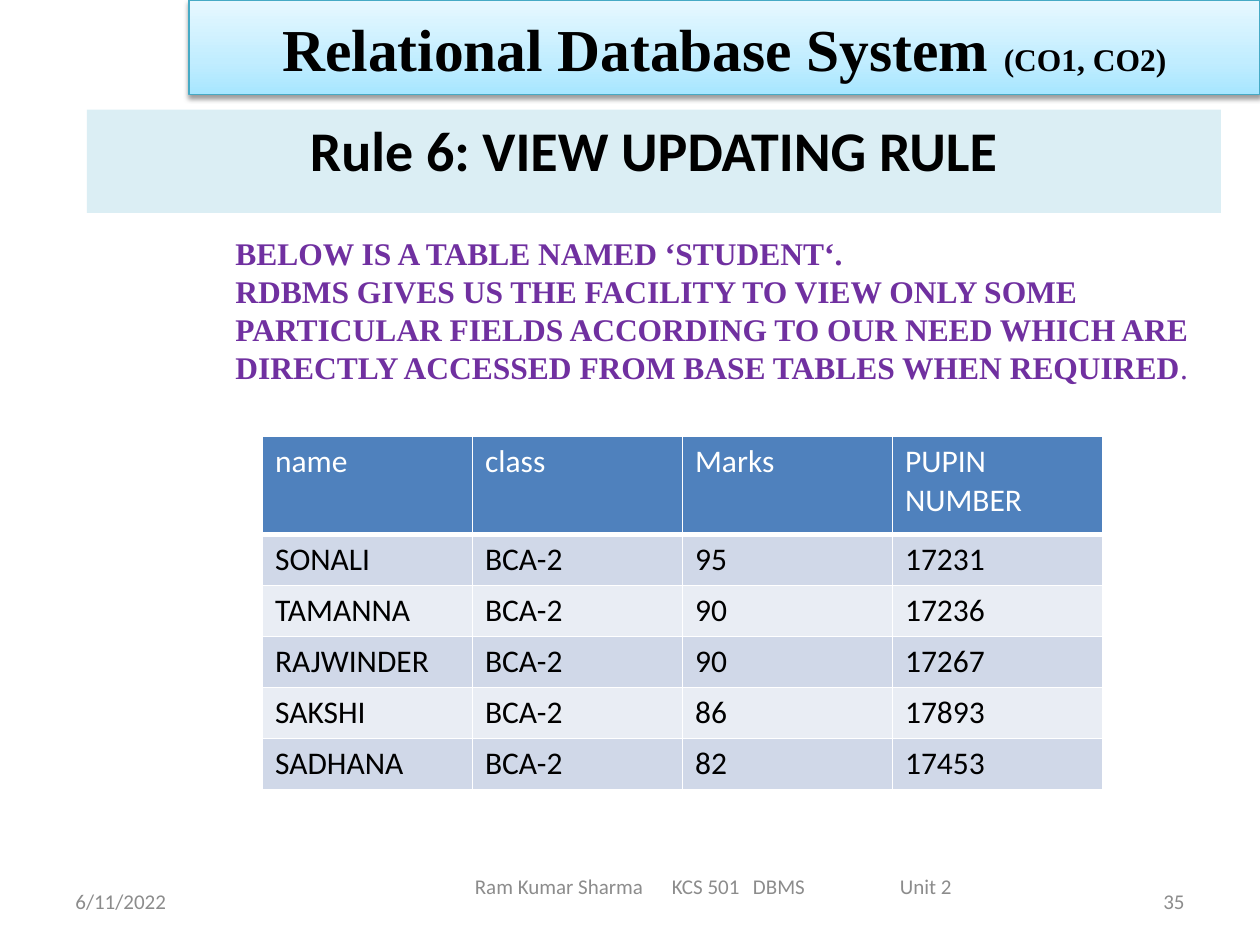
from copy import deepcopy

from lxml.etree import SubElement
from pptx import Presentation
from pptx.dml.color import RGBColor
from pptx.enum.shapes import MSO_SHAPE as Shape
from pptx.enum.text import MSO_ANCHOR as Anchor, PP_ALIGN as Align
from pptx.oxml import parse_xml
from pptx.oxml.ns import nsdecls, qn
from pptx.util import Pt


def color(value):
    return RGBColor.from_string(value)


def write(paragraph, text, face, size, ink, bold=False):
    run = paragraph.add_run()
    run.text = text
    look = {"name": face, "size": Pt(size), "bold": bold}
    for key, value in look.items():
        setattr(run.font, key, value)
    run.font.color.rgb = color(ink)


SERIF, SANS = "Times New Roman", "Calibri"
BLACK, WHITE, GRAY, PURPLE = "000000", "FFFFFF", "8C8C8C", "7030A0"

prs = Presentation()
prs.slide_width, prs.slide_height = Pt(720), Pt(540)
slide = prs.slides.add_slide(prs.slide_layouts[6])
shapes = slide.shapes

# Footer: date, course line, page number
footers = [
    (36, 500.4, 168, Align.LEFT, 7.2, "6/11/2022"),
    (221.76, 491.76, 372, Align.LEFT, 49.6,
     "Ram Kumar Sharma\tKCS 501\tDBMS\tUnit 2"),
    (516, 500.4, 168, Align.RIGHT, 7.2, "35"),
]
for left, top, width, align, inset, text in footers:
    footer = shapes.add_textbox(Pt(left), Pt(top), Pt(width), Pt(28.8)).text_frame
    layout = {"word_wrap": True, "vertical_anchor": Anchor.MIDDLE,
              "margin_left": Pt(inset)}
    for key, value in layout.items():
        setattr(footer, key, value)
    line = footer.paragraphs[0]
    line.alignment = align
    if "\t" in text:
        stops = SubElement(line._p.get_or_add_pPr(), qn("a:tabLst"))
        for stop in (112.6, 158.9, 242.9):
            SubElement(stops, qn("a:tab"), pos=str(Pt(stop)), algn="l")
    write(line, text, SANS, 12, GRAY)

# Banner with gradient and soft shadow
banner = shapes.add_shape(Shape.RECTANGLE, Pt(108), Pt(0), Pt(612), Pt(54))
banner.fill.gradient()
banner.fill.gradient_angle = 90
first_stop = banner._element.spPr.find(".//" + qn("a:gs"))
first_stop.addnext(deepcopy(first_stop))
blues = [(0, "A7E6FF"), (0.35, "C1EDFF"), (1, "E7F8FF")]
for stop, (position, blue) in zip(banner.fill.gradient_stops, blues):
    stop.position = position
    stop.color.rgb = color(blue)
banner.line.color.rgb = color("46AAC5")
banner.line.width = Pt(0.75)
banner.shadow.inherit = False
banner._element.spPr.find(qn("a:effectLst")).append(parse_xml(
    f'<a:outerShdw {nsdecls("a")} blurRad="{Pt(3.1)}" dist="{Pt(1.6)}" '
    'dir="5400000" rotWithShape="0"><a:srgbClr val="000000">'
    '<a:alpha val="38000"/></a:srgbClr></a:outerShdw>'))
banner.text_frame.vertical_anchor = Anchor.MIDDLE
heading = banner.text_frame.paragraphs[0]
heading.alignment = Align.CENTER
write(heading, "Relational Database System ", SERIF, 34, BLACK, True)
write(heading, "(CO1, CO2)", SERIF, 18, BLACK, True)

# Rule title
title = shapes.add_shape(Shape.RECTANGLE, Pt(49.68), Pt(62.64), Pt(648), Pt(59))
title.fill.solid()
title.fill.fore_color.rgb = color("DBEEF4")
title.line.fill.background()
title.shadow.inherit = False
title.text_frame.vertical_anchor = Anchor.TOP
rule = title.text_frame.paragraphs[0]
rule.alignment = Align.CENTER
write(rule, "Rule 6: VIEW UPDATING RULE", SANS, 32, BLACK, True)

# Explanation
explanation = shapes.add_textbox(Pt(127.44), Pt(130.32), Pt(570.24), Pt(94.32)).text_frame
explanation.word_wrap = True
write(explanation.paragraphs[0], "BELOW IS A TABLE NAMED ‘STUDENT‘.",
      SERIF, 18, PURPLE, True)
facility = explanation.add_paragraph()
write(facility, "RDBMS GIVES US THE FACILITY TO VIEW ONLY SOME PARTICULAR FIELDS "
      "ACCORDING TO OUR NEED WHICH ARE DIRECTLY ACCESSED FROM BASE TABLES "
      "WHEN REQUIRED", SERIF, 18, PURPLE, True)
write(facility, ".", SERIF, 18, PURPLE)

# Student table
students = [
    ("name", "class", "Marks", "PUPIN NUMBER"),
    ("SONALI", "BCA-2", "95", "17231"),
    ("TAMANNA", "BCA-2", "90", "17236"),
    ("RAJWINDER", "BCA-2", "90", "17267"),
    ("SAKSHI", "BCA-2", "86", "17893"),
    ("SADHANA", "BCA-2", "82", "17453"),
]
table = shapes.add_table(len(students), 4, Pt(150), Pt(249.3), Pt(480), Pt(202)).table
for column in table.columns:
    column.width = Pt(120)
for r, student in enumerate(students):
    header = r == 0
    table.rows[r].height = Pt(56 if header else 29.2)
    band = "4F81BD" if header else ("E9EDF4", "D0D8E8")[r % 2]
    for c, text in enumerate(student):
        cell = table.cell(r, c)
        for side in "LRTB":
            weight = 3 if header and side == "B" else 1
            cell._tc.get_or_add_tcPr().append(parse_xml(
                f'<a:ln{side} {nsdecls("a")} w="{Pt(weight)}"><a:solidFill>'
                f'<a:srgbClr val="{WHITE}"/></a:solidFill></a:ln{side}>'))
        cell.fill.solid()
        cell.fill.fore_color.rgb = color(band)
        write(cell.text_frame.paragraphs[0], text, SANS, 18,
              WHITE if header else BLACK)

prs.save("out.pptx")
